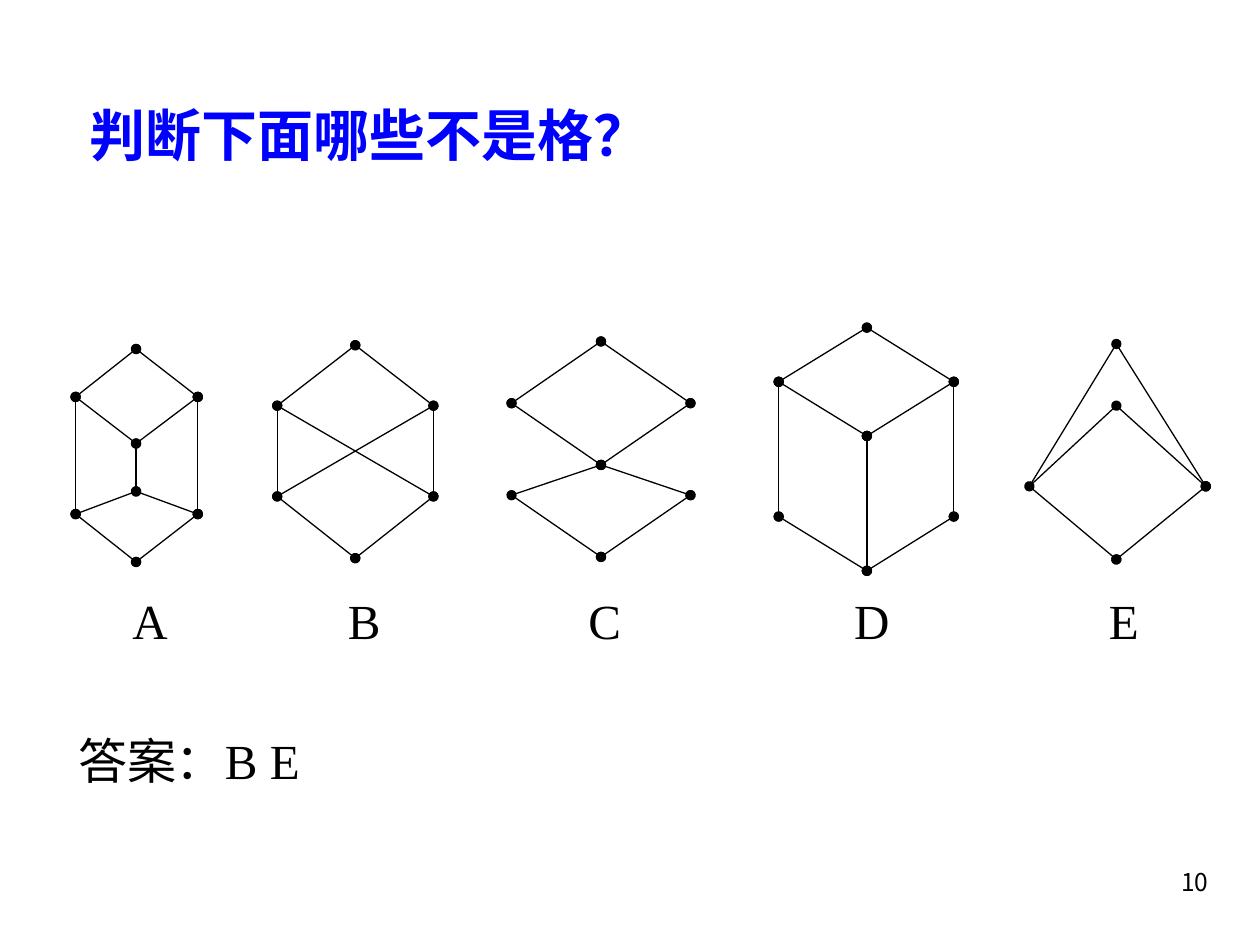
"""Build a slide asking which of five Hasse diagrams are not lattices."""
from dataclasses import dataclass

from lxml import etree
from pptx import Presentation
from pptx.dml.color import RGBColor
from pptx.enum import shapes, text
from pptx.oxml import ns
from pptx.util import Inches, Pt


@dataclass(frozen=True)
class Theme:
    ink: RGBColor = RGBColor(0, 0, 0)
    accent: RGBColor = RGBColor(0, 0, 255)
    heading: str = "Noto Sans CJK SC"
    latin: str = "Times New Roman"
    number: str = "Noto Sans CJK KR"
    title_size: int = 32
    body_size: int = 28
    number_size: int = 14
    edge_width: float = 0.75


def add_element(parent, tag, **attributes):
    return etree.SubElement(parent, ns.qn(tag), attributes)


def style(paragraph, latin, east_asian, size, color, bold=False):
    font = paragraph.font
    font.name, font.size, font.bold = latin, Pt(size), bold
    font.color.rgb = color
    add_element(font._element, "a:ea", typeface=east_asian)


theme = Theme()
prs = Presentation()
prs.slide_width, prs.slide_height = Inches(10), Inches(7.5)
slide = prs.slides.add_slide(prs.slide_layouts[1])

question = slide.shapes.title
question.left, question.top = Inches(0.61), Inches(0.58)
question.width, question.height = Inches(8.77), Inches(0.97)
question.text_frame.text = "判断下面哪些不是格？"
question.text_frame.vertical_anchor = text.MSO_ANCHOR.MIDDLE
heading = question.text_frame.paragraphs[0]
heading.alignment = text.PP_ALIGN.LEFT
style(heading, theme.heading, theme.heading, theme.title_size, theme.accent, True)

body = slide.placeholders[1]
body.left, body.top = Inches(0.43), Inches(1.61)
body.width, body.height = Inches(9.26), Inches(5)
body.text_frame.margin_top = Inches(4.19)
body.text_frame.auto_size = text.MSO_AUTO_SIZE.NONE
body.text_frame.text = "答案：B E"
answer = body.text_frame.paragraphs[0]
answer.space_before = Pt(0)
answer_properties = answer._p.get_or_add_pPr()
answer_properties.set("marL", str(Inches(0.09)))
answer_properties.set("indent", "0")
add_element(answer_properties, "a:buNone")
style(answer, theme.latin, theme.heading, theme.body_size, theme.ink)

diagrams = [
    ("A", 1.19,
     {"t": (1.08, 2.77), "l": (0.6, 3.15), "r": (1.57, 3.15), "u": (1.08, 3.52),
      "v": (1.08, 3.9), "m": (0.6, 4.08), "n": (1.57, 4.08), "b": (1.08, 4.46)},
     "lu tl tr lm rn ru mv nv mb nb", "uv"),
    ("B", 2.89,
     {"t": (2.82, 2.74), "l": (2.2, 3.22), "r": (3.44, 3.22),
      "m": (2.2, 3.94), "n": (3.44, 3.94), "b": (2.82, 4.43)},
     "tl tr lm rn mb nb", "ln mr"),
    ("C", 4.8,
     {"t": (4.77, 2.71), "l": (4.06, 3.2), "r": (5.48, 3.2), "c": (4.77, 3.69),
      "m": (4.06, 3.93), "n": (5.48, 3.93), "b": (4.77, 4.42)},
     "tl tr mb nb cn cr cl", "mc"),
    ("D", 6.92,
     {"t": (6.88, 2.6), "l": (6.18, 3.03), "r": (7.57, 3.03), "c": (6.88, 3.46),
      "m": (6.18, 4.1), "n": (7.57, 4.1), "b": (6.88, 4.53)},
     "tl tr lm cb rn lc rc mb nb", ""),
    ("E", 8.92,
     {"t": (8.86, 2.73), "c": (8.86, 3.22), "l": (8.17, 3.86),
      "r": (9.57, 3.86), "b": (8.86, 4.44)},
     "tr lb rb cr", "lt cl"),
]
label_width = 0.8
for letter, center, vertices, dotted_edges, plain_edges in diagrams:
    for edges, dotted in ((dotted_edges, True), (plain_edges, False)):
        for start, end in edges.split():
            ends = [Inches(value) for value in vertices[start] + vertices[end]]
            edge = slide.shapes.add_connector(shapes.MSO_CONNECTOR.STRAIGHT, *ends)
            edge.line.width = Pt(theme.edge_width)
            edge.line.color.rgb = theme.ink
            if dotted:
                for tag in ("a:headEnd", "a:tailEnd"):
                    add_element(edge.line._get_or_add_ln(), tag, type="oval")
            add_element(edge._element.spPr, "a:effectLst")

    label = slide.shapes.add_textbox(Inches(center - label_width / 2), Inches(4.64),
                                     Inches(label_width), Inches(0.55))
    label.text_frame.word_wrap = True
    label.text_frame.text = letter
    caption = label.text_frame.paragraphs[0]
    caption.alignment = text.PP_ALIGN.CENTER
    style(caption, theme.latin, theme.heading, theme.body_size, theme.ink)

page_number = slide.shapes.add_textbox(Inches(7.61), Inches(6.83), Inches(2.08), Inches(0.5))
page_number.text_frame.word_wrap = True
page_number.text_frame.text = "10"
number = page_number.text_frame.paragraphs[0]
number.alignment = text.PP_ALIGN.RIGHT
style(number, theme.number, theme.number, theme.number_size, theme.ink)

prs.save("out.pptx")
